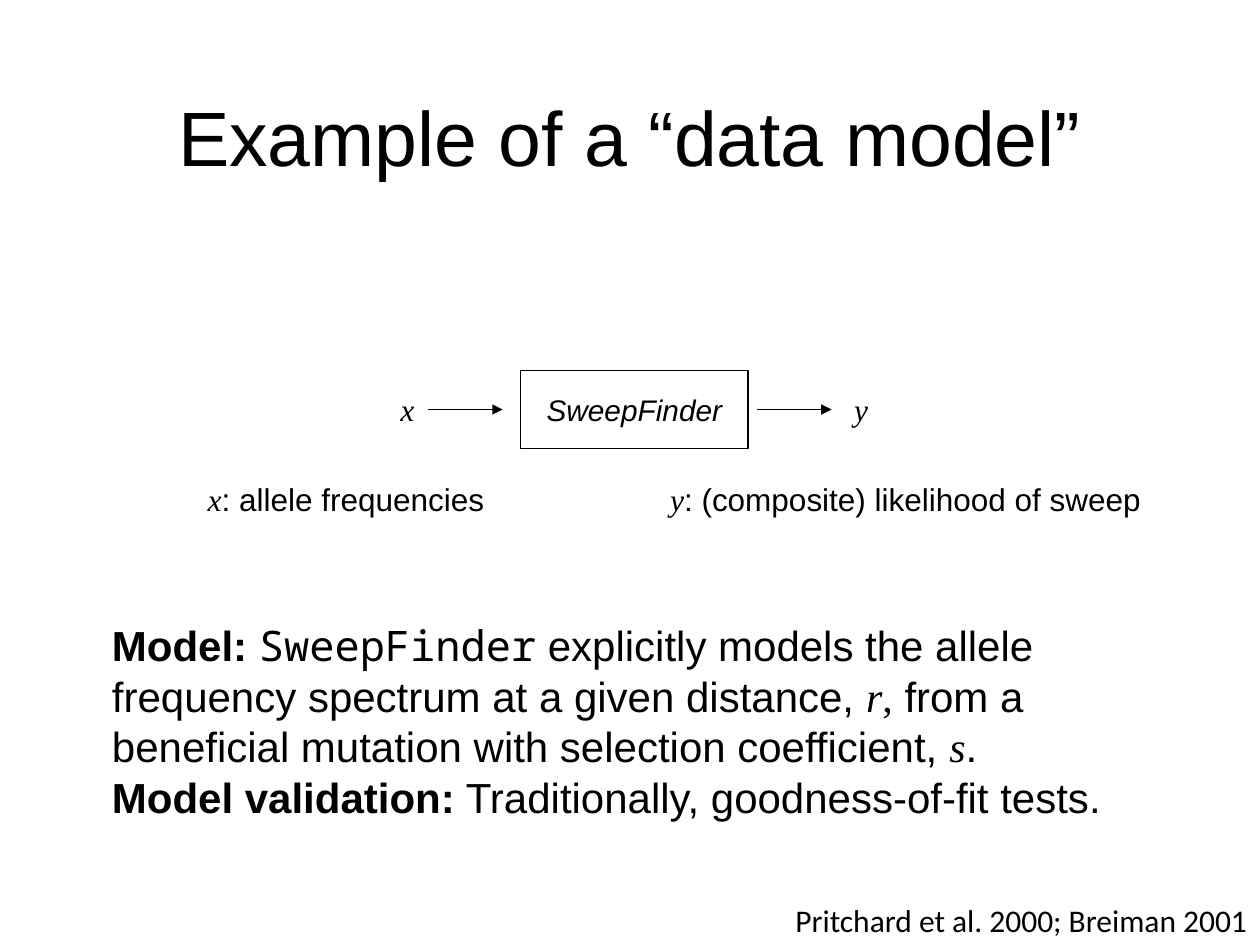
from dataclasses import dataclass
from typing import Any

from lxml import etree
from pptx import Presentation, util as u
from pptx.dml.color import RGBColor
from pptx.enum import shapes, text
from pptx.oxml.ns import qn

COLOURS = {"ink": "000000", "paper": "FFFFFF"}
SANS = {"name": "Arial"}
BOLD = {"name": "Arial", "bold": True}
SLANTED = {"name": "Arial", "italic": True}
MATH = {"name": "Times New Roman", "italic": True}
MATH_UPRIGHT = {"name": "Times New Roman"}
CODE = {"name": "Noto Sans Mono"}
CITATION = {"name": "Calibri"}
LEFT, CENTRE, RIGHT = text.PP_ALIGN.LEFT, text.PP_ALIGN.CENTER, text.PP_ALIGN.RIGHT
TOP, MIDDLE = text.MSO_ANCHOR.TOP, text.MSO_ANCHOR.MIDDLE


@dataclass
class Canvas:
    """Draws styled elements on a page, measured in grid cells of a tenth of an inch."""

    page: Any
    cell: int = u.Inches(0.1)

    def grid(self, *cells):
        return [round(count * self.cell) for count in cells]

    def colour(self, name):
        return RGBColor.from_string(COLOURS[name])

    def typeset(self, box, paragraphs, size, align=LEFT, anchor=TOP, wrap=True, spacing=None):
        frame = box.text_frame
        for key, value in {"word_wrap": wrap, "vertical_anchor": anchor}.items():
            setattr(frame, key, value)
        for index, pieces in enumerate(paragraphs):
            para = frame.add_paragraph() if index else frame.paragraphs[0]
            for key, value in {"alignment": align, "line_spacing": spacing}.items():
                setattr(para, key, value)
            for words, style in pieces:
                span = para.add_run()
                span.text = words
                for key, value in {"size": u.Pt(size), **style}.items():
                    setattr(span.font, key, value)
                span.font.color.rgb = self.colour("ink")

    def label(self, area, paragraphs, size=18, **layout):
        box = self.page.shapes.add_textbox(*self.grid(*area))
        self.typeset(box, paragraphs, size, **layout)

    def block(self, area, paragraphs, size):
        box = self.page.shapes.add_shape(shapes.MSO_SHAPE.RECTANGLE, *self.grid(*area))
        box.shadow.inherit = False
        box.fill.solid()
        box.fill.fore_color.rgb = self.colour("paper")
        box.line.color.rgb = self.colour("ink")
        box.line.width = u.Pt(1)
        self.typeset(box, paragraphs, size, align=CENTRE, anchor=MIDDLE)

    def arrow(self, column, row, length):
        ends = self.grid(column, row, column + length, row)
        arrow = self.page.shapes.add_connector(shapes.MSO_CONNECTOR.STRAIGHT, *ends)
        arrow.line.color.rgb = self.colour("ink")
        arrow.line.width = u.Pt(0.5)
        properties = arrow._element.spPr
        etree.SubElement(properties.get_or_add_ln(), qn("a:tailEnd"), type="triangle")
        etree.SubElement(properties, qn("a:effectLst"))


def main():
    deck = Presentation()
    deck.slide_width, deck.slide_height = u.Inches(10), u.Inches(7.5)
    canvas = Canvas(deck.slides.add_slide(deck.slide_layouts[6]))

    canvas.label((6.9, 4, 86.2, 14.5), [[("Example of a “data model”", SANS)]],
                 size=44, align=CENTRE, anchor=MIDDLE, spacing=0.9)

    canvas.block((41.3, 29.4, 18.1, 6.2), [[("SweepFinder", SLANTED)]], size=17)
    flow = [
        ("x", 30.8, 34, ": allele frequencies", 15.5, 24.2),
        ("y", 66.8, 60.1, ": (composite) likelihood of sweep", 52.2, 39.7),
    ]
    for symbol, column, arrow_column, meaning, legend_column, width in flow:
        canvas.label((column, 30.5, 3.1, 4), [[(symbol, MATH)]], wrap=False)
        canvas.arrow(arrow_column, 32.5, 5.9)
        canvas.label((legend_column, 37.6, width, 4),
                     [[(symbol, MATH), (meaning, SANS)]], wrap=False)

    canvas.label((7.9, 48.7, 85.2, 17.2), [
        [("Model: ", BOLD), ("SweepFinder", CODE),
         (" explicitly models the allele frequency spectrum at a given distance, ", SANS),
         ("r", MATH), (",", MATH_UPRIGHT),
         (" from a beneficial mutation with selection coefficient, ", SANS),
         ("s", MATH), (".", SANS)],
        [("Model validation:", BOLD), (" Traditionally, goodness-of-fit tests.", SANS)],
    ], size=24)
    canvas.label((61.7, 71, 38.3, 4), [[("Pritchard et al. 2000; Breiman 2001", CITATION)]],
                 align=RIGHT, wrap=False)

    deck.save("out.pptx")


if __name__ == "__main__":
    main()
